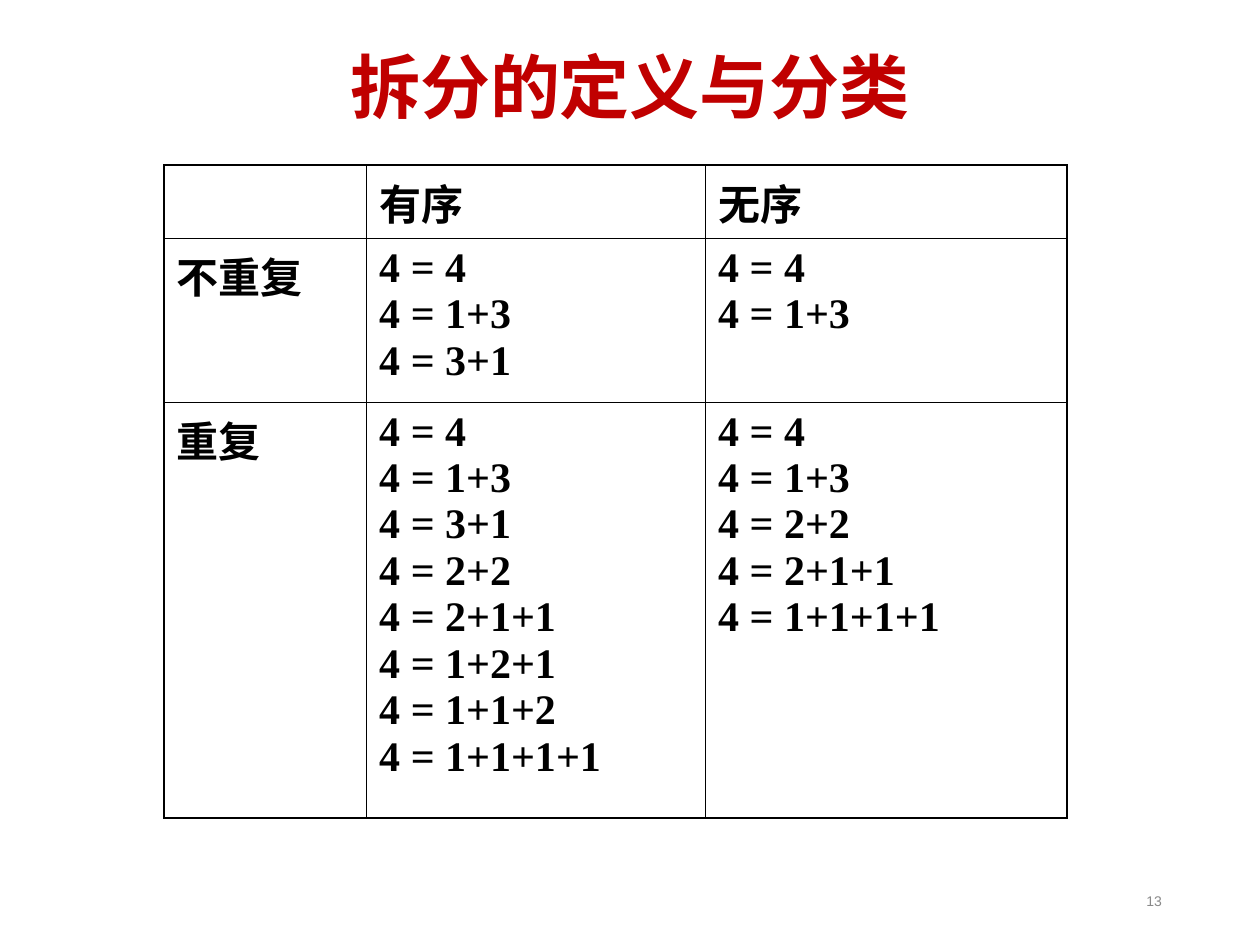
from pptx import Presentation
from pptx import util as u
from pptx.dml.color import RGBColor
from pptx.enum import text
from pptx.oxml import parse_xml
from pptx.oxml.ns import nsdecls

# Content
TITLE = "拆分的定义与分类"
PAGE = "13"
HEADER = ["", "有序", "无序"]
ROWS = [
    ("不重复", ["4", "1+3", "3+1"], ["4", "1+3"]),
    ("重复",
     ["4", "1+3", "3+1", "2+2", "2+1+1", "1+2+1", "1+1+2", "1+1+1+1"],
     ["4", "1+3", "2+2", "2+1+1", "1+1+1+1"]),
]
COL_WIDTHS = [1.61, 2.69, 2.87]
ROW_HEIGHTS = [0.56, 1.3, 3.3]

THEME = {
    "title": ("Calibri", 40, "C00000", True),
    "label": ("Noto Sans CJK SC", 24, "000000", True),
    "sum": ("Times New Roman", 24, "000000", True),
    "page": ("Arial", 8, "898989", False),
    "border": "000000",
    "cjk": "Noto Sans CJK SC",
}


def write(tf, content, style, align=None, spacing=None):
    name, size, color, bold = THEME[style]
    tf.text = content
    for p in tf.paragraphs:
        p.alignment, p.line_spacing = align, spacing
        for r in p.runs:
            f = r.font
            f.name, f.size, f.bold = name, u.Pt(size), bold
            f.color.rgb = RGBColor.from_string(color)
            f._element.find("{*}latin").addnext(parse_xml(
                f'<a:ea {nsdecls("a")} typeface="{THEME["cjk"]}"/>'))


def add_text(s, box, *args):
    tf = s.shapes.add_textbox(*map(u.Inches, box)).text_frame
    tf.word_wrap = True
    tf.vertical_anchor = text.MSO_ANCHOR.MIDDLE
    write(tf, *args)


def set_borders(cell):
    tc_pr = cell._tc.get_or_add_tcPr()
    for i, side in enumerate(("lnL", "lnR", "lnT", "lnB")):
        tc_pr.insert(i, parse_xml(
            f'<a:{side} {nsdecls("a")} w="{u.Pt(1)}"><a:solidFill>'
            f'<a:srgbClr val="{THEME["border"]}"/></a:solidFill></a:{side}>'))


prs = Presentation()
prs.slide_width, prs.slide_height = u.Inches(10), u.Inches(7.5)
s = prs.slides.add_slide(prs.slide_layouts[6])

# Table of partitions of 4
box = (1.3, 1.31, sum(COL_WIDTHS), sum(ROW_HEIGHTS))
table = s.shapes.add_table(len(ROW_HEIGHTS), len(COL_WIDTHS),
                           *map(u.Inches, box)).table
table.first_row = table.horz_banding = False
for col, width in zip(table.columns, COL_WIDTHS):
    col.width = u.Inches(width)
for row, height in zip(table.rows, ROW_HEIGHTS):
    row.height = u.Inches(height)

for i, values in enumerate([HEADER, *ROWS]):
    for j, value in enumerate(values):
        cell = table.cell(i, j)
        cell.fill.background()
        set_borders(cell)
        if isinstance(value, list):
            write(cell.text_frame, "\n".join(f"4 = {v}" for v in value), "sum")
        elif value:
            write(cell.text_frame, value, "label")

# Title and page number
add_text(s, (0.75, 0.29, 8.5, 0.87), TITLE, "title", text.PP_ALIGN.CENTER, 0.9)
add_text(s, (7.07, 6.95, 2.25, 0.4), PAGE, "page", text.PP_ALIGN.RIGHT)

prs.save("out.pptx")
